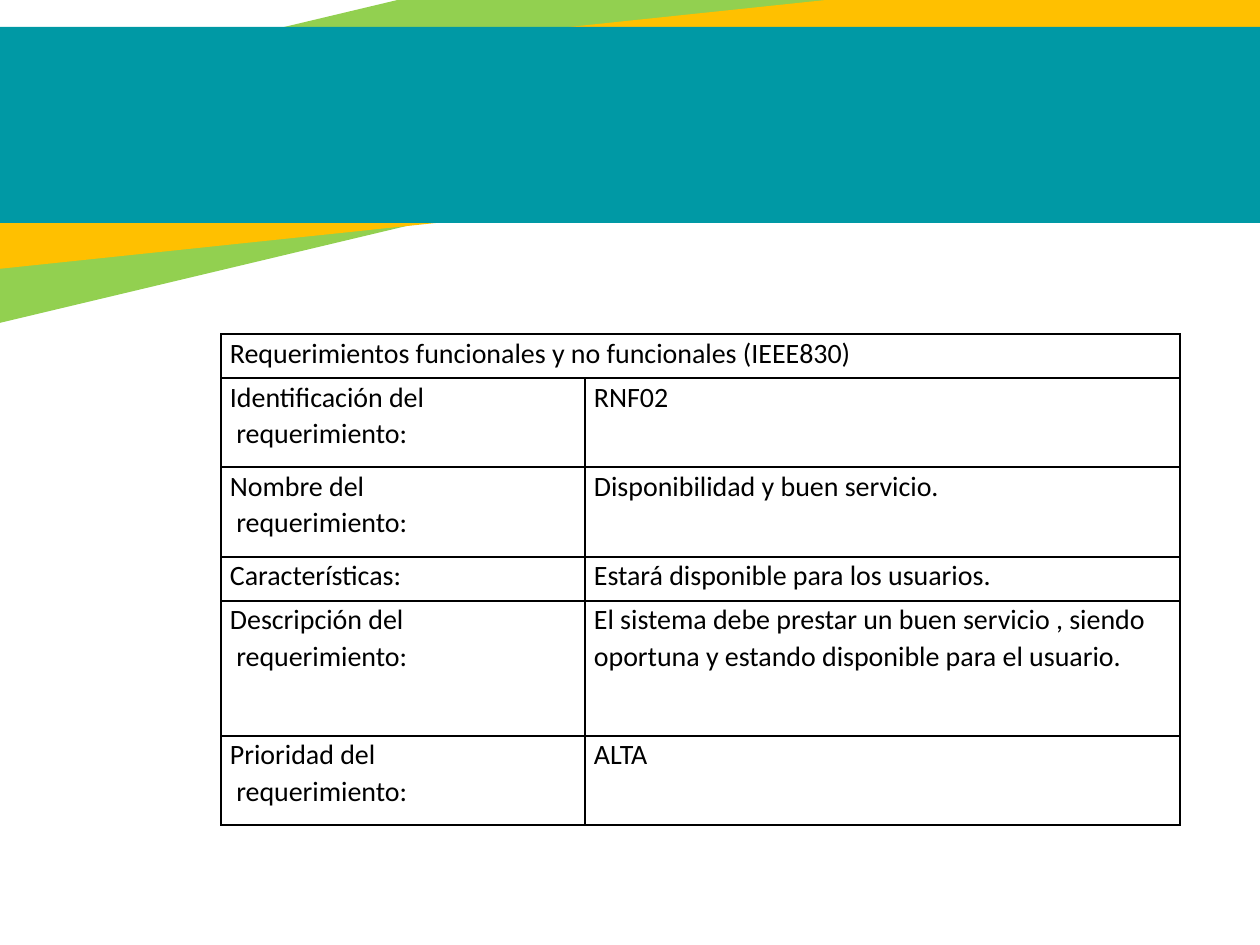
"""Build a slide with slanted header bands and a requirements table."""
from dataclasses import dataclass

from lxml.etree import SubElement
from pptx import Presentation
from pptx.dml.color import RGBColor
from pptx.enum.shapes import MSO_SHAPE
from pptx.oxml.ns import qn
from pptx.slide import Slide
from pptx.table import _Cell
from pptx.util import Emu, Pt

SCALE = 914400 / 126


@dataclass(frozen=True)
class Theme:
    green: str = "92D050"
    gold: str = "FFC000"
    teal: str = "0099A5"
    ink: str = "000000"
    font: str = "Calibri"
    size: int = 16
    lead: float = 1.07
    rule: int = 1


@dataclass(frozen=True)
class Band:
    left: int
    top: int
    width: int
    height: int
    turn: float
    color: str


@dataclass(frozen=True)
class Row:
    height: int
    label: tuple[str, ...]
    value: str = ""


THEME = Theme()
BANDS = (
    Band(-316, -23, 1646, 222, 346.6, THEME.green),
    Band(-139, 25, 1465, 181, 354, THEME.gold),
    Band(-134, 27, 1465, 196, 0, THEME.teal),
)
LEFT, TOP = 221, 334
COLS = (364, 595)
INSET = 9
TAIL = " requerimiento:"
ROWS = (
    Row(44, ("Requerimientos funcionales y no funcionales (IEEE830)",)),
    Row(89, ("Identificación del", TAIL), "RNF02"),
    Row(90, ("Nombre del", TAIL), "Disponibilidad y buen servicio."),
    Row(44, ("Características:",), "Estará disponible para los usuarios."),
    Row(135, ("Descripción del", TAIL),
        "El sistema debe prestar un buen servicio , siendo "
        "oportuna y estando disponible para el usuario."),
    Row(89, ("Prioridad del", TAIL), "ALTA"),
)


def px(count: int) -> Emu:
    return Emu(round(count * SCALE))


def draw_band(slide: Slide, band: Band) -> None:
    shape = slide.shapes.add_shape(
        MSO_SHAPE.RECTANGLE, px(band.left), px(band.top),
        px(band.width), px(band.height))
    shape.rotation = band.turn
    shape.shadow.inherit = False
    shape.fill.solid()
    shape.fill.fore_color.rgb = RGBColor.from_string(band.color)
    shape.line.fill.background()


def frame_cell(cell: _Cell) -> None:
    props = cell._tc.get_or_add_tcPr()
    for side in ("a:lnL", "a:lnR", "a:lnT", "a:lnB"):
        line = SubElement(props, qn(side), w=str(Pt(THEME.rule)))
        fill = SubElement(line, qn("a:solidFill"))
        SubElement(fill, qn("a:srgbClr"), val=THEME.ink)
    cell.fill.background()


def write_cell(cell: _Cell, lines: tuple[str, ...]) -> None:
    cell.margin_left = cell.margin_right = px(INSET)
    cell.margin_top = cell.margin_bottom = 0
    frame = cell.text_frame
    for index, text in enumerate(lines):
        para = frame.add_paragraph() if index else frame.paragraphs[0]
        para.line_spacing = THEME.lead
        run = para.add_run()
        run.text = text
        run.font.name = THEME.font
        run.font.size = Pt(THEME.size)
        run.font.color.rgb = RGBColor.from_string(THEME.ink)


def draw_table(slide: Slide, rows: tuple[Row, ...]) -> None:
    height = sum(row.height for row in rows)
    table = slide.shapes.add_table(
        len(rows), len(COLS), px(LEFT), px(TOP),
        px(sum(COLS)), px(height)).table
    table.first_row = table.horz_banding = False
    for col, width in zip(table.columns, COLS):
        col.width = px(width)
    for index, row in enumerate(rows):
        table.rows[index].height = px(row.height)
        label, value = table.cell(index, 0), table.cell(index, 1)
        frame_cell(label)
        frame_cell(value)
        write_cell(label, row.label)
        if row.value:
            write_cell(value, (row.value,))
        else:
            label.merge(value)


def main() -> None:
    deck = Presentation()
    deck.slide_width, deck.slide_height = px(1260), px(945)
    slide = deck.slides.add_slide(deck.slide_layouts[6])
    for band in BANDS:
        draw_band(slide, band)
    draw_table(slide, ROWS)
    deck.save("out.pptx")


if __name__ == "__main__":
    main()
